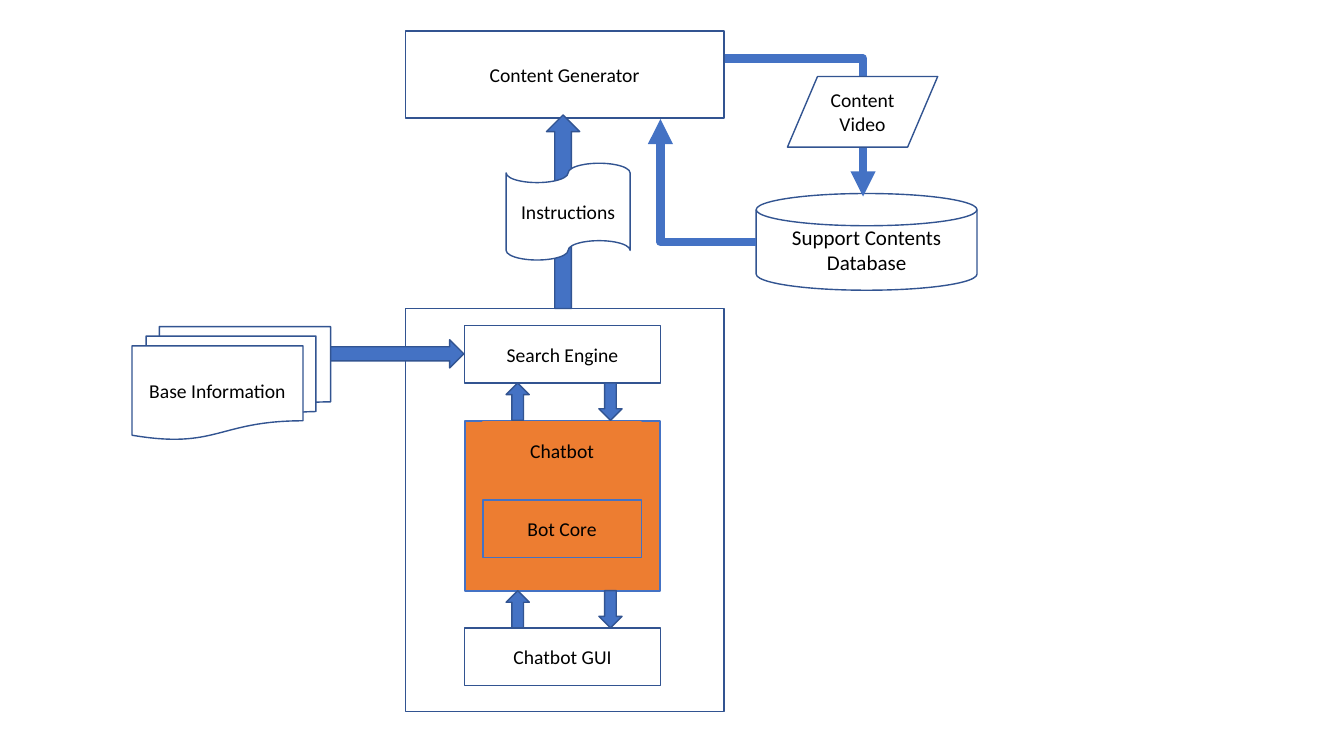
from pptx import Presentation
from pptx.dml.color import RGBColor
from pptx.enum.shapes import MSO_CONNECTOR as LINK, MSO_SHAPE as SHAPE
from pptx.enum.text import MSO_ANCHOR, PP_ALIGN
from pptx.oxml.ns import qn
from pptx.util import Inches, Pt
from lxml.etree import SubElement

WHITE = RGBColor(0xFF, 0xFF, 0xFF)
BLACK = RGBColor(0, 0, 0)
BLUE = RGBColor(0x44, 0x72, 0xC4)
NAVY = RGBColor(0x32, 0x54, 0x91)
ORANGE = RGBColor(0xED, 0x7D, 0x31)

LEFT, WIDE = 4.02, 3.16
COL, SPAN = 4.61, 1.94
INNER, CORE = 4.79, 1.57
UP, DOWN = 5.02, 5.94
ROW = 0.57

STORE = ("Support Contents Database", SHAPE.FLOWCHART_MAGNETIC_DISK, (7.5, 1.92, 2.19, 0.96), None)
LINKS = [((7.19, 0.58, 1.37, 1.37), 0), ((6.55, 1.18, 0.95, 1.22), 180)]
SOURCES = [
    ("Content Video", SHAPE.FLOWCHART_DATA, (7.81, 0.76, 1.49, 0.7), WHITE),
    ("Base Information", SHAPE.FLOWCHART_MULTIDOCUMENT, (1.31, 3.24, 1.97, 1.12), None),
]
BOXES = [
    ("", (LEFT, 3.06, WIDE, 4), WHITE, NAVY, 1),
    ("Search Engine", (COL, 3.23, SPAN, ROW), WHITE, NAVY, 1),
    ("Chatbot GUI", (COL, 6.23, SPAN, ROW), WHITE, NAVY, 1),
    ("", (COL, 4.18, SPAN, 1.68), ORANGE, BLUE, 1.5),
    ("Bot Core", (INNER, 4.96, CORE, ROW), ORANGE, BLUE, 1),
    ("Chatbot", (INNER, 4.19, CORE, ROW), ORANGE, ORANGE, 1.5),
    ("Content Generator", (LEFT, 0.31, WIDE, 0.86), WHITE, NAVY, 1),
]
TAPE = ("Instructions", SHAPE.FLOWCHART_PUNCHED_TAPE, (5.02, 1.62, 1.23, 0.96), WHITE)
ARROWS = [(kind, (x, y, 0.23, 0.37))
          for y in (3.8, 5.86)
          for kind, x in ((SHAPE.UP_ARROW, UP), (SHAPE.DOWN_ARROW, DOWN))]
ARROWS += [
    (SHAPE.RIGHT_ARROW, (3.28, 3.37, 1.32, 0.28)),
    (SHAPE.UP_ARROW, (5.42, 1.14, 0.33, 1.92)),
]


def draw(text, kind, area, fill, line=NAVY, width=1, size=14):
    """Add one filled and outlined shape with centred text."""
    shape = slide.shapes.add_shape(kind, *map(Inches, area))
    shape.shadow.inherit = False
    if fill is None:
        shape.fill.background()
    else:
        shape.fill.solid()
        shape.fill.fore_color.rgb = fill
    shape.line.color.rgb = line
    shape.line.width = Pt(width)
    if text:
        frame = shape.text_frame
        frame.text = text
        frame.word_wrap = True
        frame.vertical_anchor = MSO_ANCHOR.MIDDLE
        para = frame.paragraphs[0]
        para.alignment = PP_ALIGN.CENTER
        font = para.runs[0].font
        font.name, font.size, font.color.rgb = "Calibri", Pt(size), BLACK


def join(area, turn):
    """Add one right-angled arrow inside the area."""
    x, y, w, h = area
    link = slide.shapes.add_connector(LINK.ELBOW, *map(Inches, (x, y, x + w, y + h)))
    link.line.color.rgb = BLUE
    link.line.width = Pt(6)
    props = link._element.spPr
    props.find(qn("a:prstGeom")).set("prst", "bentConnector2")
    if turn:
        props.find(qn("a:xfrm")).set("rot", str(turn * 60000))
    SubElement(props.find(qn("a:ln")), qn("a:tailEnd"), type="triangle")
    SubElement(props, qn("a:effectLst"))


deck = Presentation()
deck.slide_width, deck.slide_height = Inches(13.33), Inches(7.5)
slide = deck.slides.add_slide(deck.slide_layouts[6])

draw(*STORE, size=15)
for area, turn in LINKS:
    join(area, turn)
for item in SOURCES:
    draw(*item)
for text, area, fill, line, width in BOXES:
    draw(text, SHAPE.RECTANGLE, area, fill, line, width)
for kind, area in ARROWS:
    draw("", kind, area, BLUE)
draw(*TAPE)

deck.save("out.pptx")
